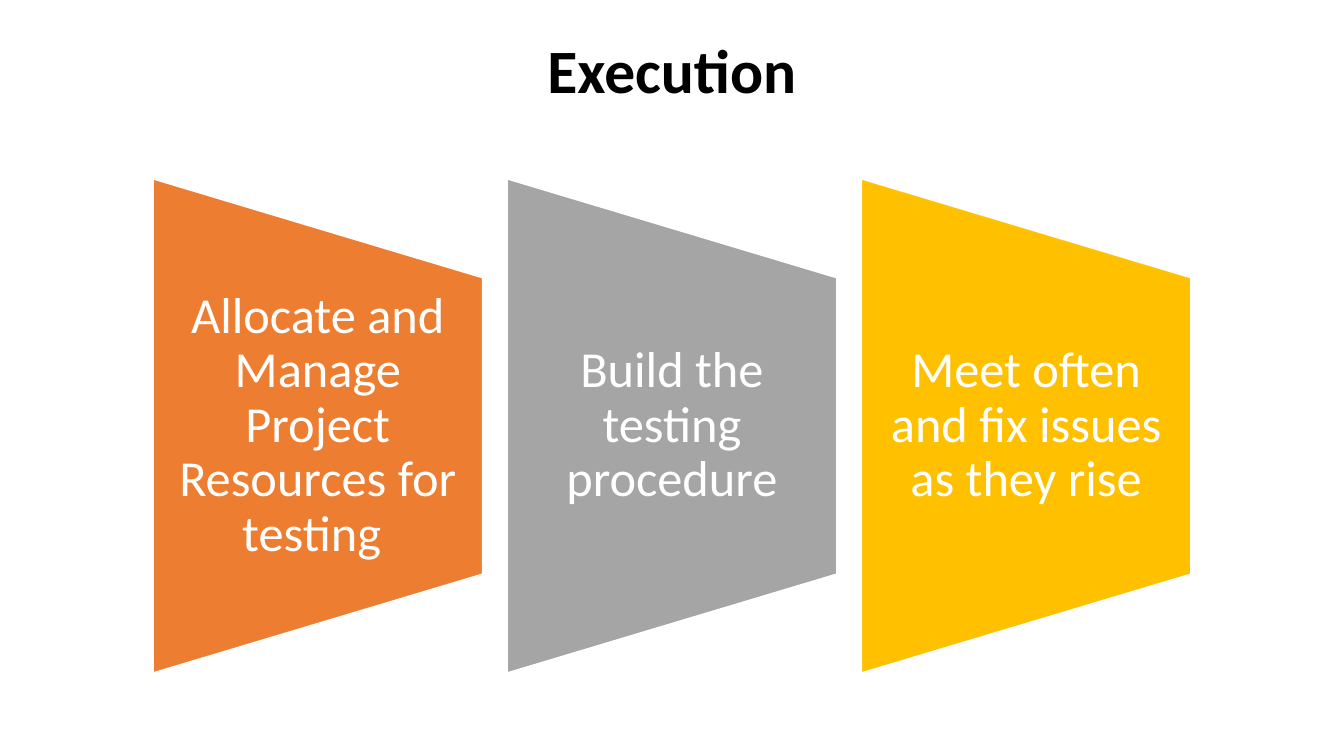
from pptx import Presentation
from pptx.dml.color import RGBColor
from pptx.enum.shapes import MSO_SHAPE
from pptx.enum.text import MSO_ANCHOR, PP_ALIGN
from pptx.util import Pt


def color(hex_string):
    """Turn a hex string into a colour."""
    return RGBColor.from_string(hex_string)


def add_label(slide, box, words, side_inset, ink, font_format):
    """Add centred, wrapped text in a box given in points."""
    frame = slide.shapes.add_textbox(*map(Pt, box)).text_frame
    frame_format = {
        "word_wrap": True,
        "vertical_anchor": MSO_ANCHOR.MIDDLE,
        "margin_left": Pt(side_inset),
        "margin_right": Pt(side_inset),
        "margin_top": 0,
        "margin_bottom": 0,
    }
    for key, value in frame_format.items():
        setattr(frame, key, value)
    paragraph = frame.paragraphs[0]
    paragraph.alignment = PP_ALIGN.CENTER
    paragraph.line_spacing = 0.9
    run = paragraph.add_run()
    run.text = words
    run.font.color.rgb = color(ink)
    for key, value in font_format.items():
        setattr(run.font, key, value)


SLIDE_WIDTH, SLIDE_HEIGHT = 960, 540
STEP_WIDTH, STEP_HEIGHT, LABEL_HEIGHT = 235.3, 352.8, 211.7
STEP_PITCH = 253
MIDDLE_Y = 304.2

deck = Presentation()
deck.slide_width, deck.slide_height = Pt(SLIDE_WIDTH), Pt(SLIDE_HEIGHT)
slide = deck.slides.add_slide(deck.slide_layouts[6])

title_font = {"name": "Calibri", "size": Pt(44), "bold": True}
step_font = {"name": "Calibri", "size": Pt(36)}

add_label(slide, (0, 0, SLIDE_WIDTH, 104.4), "Execution", 7.2, "000000", title_font)

steps = [
    ("Allocate and Manage Project Resources for testing\t", "ED7D31"),
    ("Build the testing procedure", "A5A5A5"),
    ("Meet often and fix issues as they rise", "FFC000"),
]
for index, (words, fill) in enumerate(steps):
    center_x = SLIDE_WIDTH / 2 + (index - 1) * STEP_PITCH
    # The quarter turn swaps the panel's width and height.
    panel = slide.shapes.add_shape(
        MSO_SHAPE.FLOWCHART_MANUAL_OPERATION,
        Pt(center_x - STEP_HEIGHT / 2), Pt(MIDDLE_Y - STEP_WIDTH / 2),
        Pt(STEP_HEIGHT), Pt(STEP_WIDTH),
    )
    panel.rotation = 270
    panel.shadow.inherit = False
    panel.fill.solid()
    panel.fill.fore_color.rgb = color(fill)
    panel.line.color.rgb = color("FFFFFF")
    panel.line.width = Pt(1)

    label_box = (center_x - STEP_WIDTH / 2, MIDDLE_Y - LABEL_HEIGHT / 2,
                 STEP_WIDTH, LABEL_HEIGHT)
    add_label(slide, label_box, words, 18, "FFFFFF", step_font)

deck.save("out.pptx")
